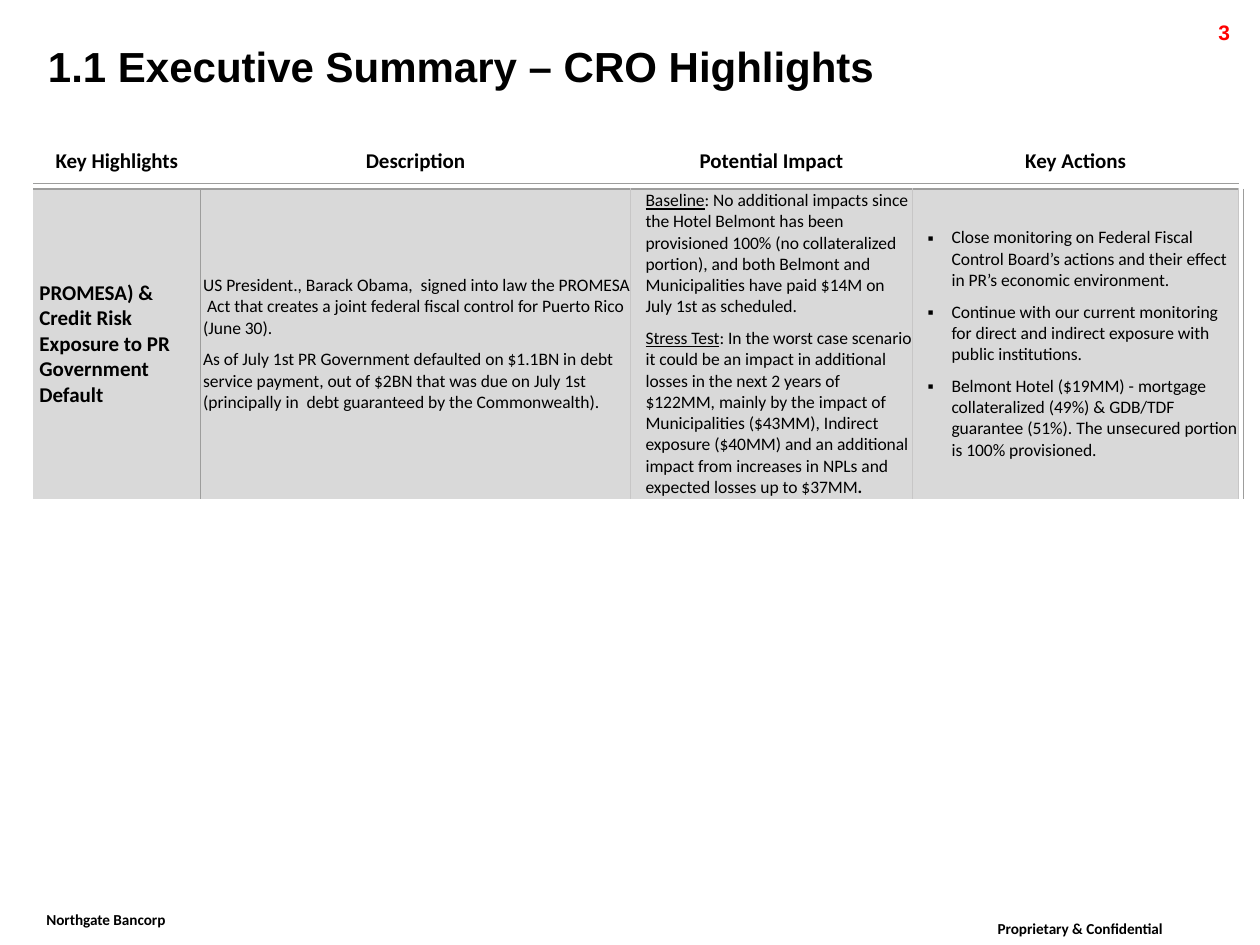
from dataclasses import dataclass

from lxml import etree
from pptx import Presentation
from pptx.dml.color import RGBColor
from pptx.enum import text as t
from pptx.oxml import ns
from pptx.util import Pt

HUES = {"ink": "000000", "red": "FF0000", "white": "FFFFFF",
        "band": "D9D9D9", "rule": "9D9D9C", "split": "C7C6C6"}
RULE, SPLIT = ("rule", 0.75), ("split", 1)
NO_STYLE = "{2D5ABB26-0587-4C30-8999-92F81FD0307C}"
WIDTHS = (95.8, 245.6, 161.2, 186.4, 2.4)
HEIGHTS = (30.2, 2.9, 175.7)


@dataclass
class Run:
    text: str
    bold: bool = False
    underline: bool = False


@dataclass
class Note:
    text: str
    box: tuple
    size: float
    face: str = "Calibri"
    hue: str = "ink"
    align: t.PP_ALIGN = t.PP_ALIGN.LEFT
    wrap: bool = True
    base: int = 0


@dataclass
class Topic:
    head: str
    paras: list
    pads: tuple
    edges: dict
    size: float = 10
    bullet: str = ""


NOTES = [
    Note("Northgate Bancorp", (19.4, 514.8, 94.3, 25.2), 15, wrap=False, base=30000),
    Note("Proprietary & Confidential", (563, 519.8, 157, 25.2), 15, base=30000),
    Note("3", (641.5, 7.9, 68.4, 17.3), 12, "Arial", "red", t.PP_ALIGN.RIGHT),
]
TITLE = Note("1.1 Executive Summary – CRO Highlights", (20.2, 19.4, 699.8, 36), 24, "Arial")

TOPICS = [
    Topic("Key Highlights",
          [[Run("PROMESA) & Credit Risk Exposure to PR Government Default", True)]],
          (3.6, 0.7, 8.6, 0.7), {"R": RULE}, size=12),
    Topic("Description",
          [[Run("US President., Barack Obama,  signed into law the PROMESA  Act that creates "
                "a joint federal fiscal control for Puerto Rico (June 30).")],
           [Run("As of July 1st PR Government defaulted on $1.1BN in debt service payment, "
                "out of $2BN that was due on July 1st (principally in  debt guaranteed by "
                "the Commonwealth).")]],
          (1.4, 0.7, 0, 0.7), {"L": RULE, "R": SPLIT}),
    Topic("Potential Impact",
          [[Run("Baseline", underline=True),
            Run(": No additional impacts since the Hotel Belmont has been provisioned 100% "
                "(no collateralized portion), and both Belmont and Municipalities have paid "
                "$14M on July 1st as scheduled.")],
           [Run("Stress Test", underline=True),
            Run(": In the worst case scenario it could be an impact in additional losses in "
                "the next 2 years of $122MM, mainly by the impact of Municipalities ($43MM), "
                "Indirect exposure ($40MM) and an additional impact from increases in NPLs "
                "and expected losses up to $37MM"),
            Run(".", True)]],
          (8.6, 0.7, 0, 0.7), {"L": SPLIT, "R": SPLIT}),
    Topic("Key Actions",
          [[Run("Close monitoring on Federal Fiscal Control Board’s actions and their effect "
                "in PR’s economic environment.")],
           [Run("Continue with our current monitoring for direct and indirect exposure with "
                "public institutions.")],
           [Run("Belmont Hotel ($19MM) - mortgage collateralized (49%) & GDB/TDF guarantee "
                "(51%). The unsecured portion is 100% provisioned.")]],
          (8.6, 0.7, 0, 0.7), {"L": SPLIT}, bullet="▪"),
]


def color(hue: str) -> RGBColor:
    return RGBColor.from_string(HUES[hue])


def style(font, hue: str = "ink", **form) -> None:
    for key, val in form.items():
        setattr(font, key, val)
    font.color.rgb = color(hue)


def fill_note(shape, note: Note) -> None:
    for key, val in zip(("left", "top", "width", "height"), note.box):
        setattr(shape, key, Pt(val))
    frame = shape.text_frame
    form = {"word_wrap": note.wrap, "auto_size": t.MSO_AUTO_SIZE.NONE,
            "vertical_anchor": t.MSO_ANCHOR.TOP}
    for key, val in form.items():
        setattr(frame, key, val)
    para = frame.paragraphs[0]
    para.alignment = note.align
    run = para.add_run()
    run.text = note.text
    style(run.font, note.hue, name=note.face, size=Pt(note.size), bold=True)
    if note.base:
        run.font._element.set("baseline", str(note.base))


def edge(cell, lines: dict) -> None:
    """Draw the given borders, keyed by side, ahead of the cell's fill."""
    props = cell._tc.get_or_add_tcPr()
    sides = [side for side in "LRTB" if side in lines]
    for spot, side in enumerate(sides):
        hue, width = lines[side]
        line = etree.Element(ns.qn(f"a:ln{side}"), w=str(Pt(width)))
        solid = etree.SubElement(line, ns.qn("a:solidFill"))
        etree.SubElement(solid, ns.qn("a:srgbClr"), val=HUES[hue])
        props.insert(spot, line)


def set_cell(cell, hue: str, pads: tuple, anchor: t.MSO_ANCHOR, lines: dict) -> None:
    cell.fill.solid()
    cell.fill.fore_color.rgb = color(hue)
    for key, val in zip(("left", "top", "right", "bottom"), pads):
        setattr(cell, f"margin_{key}", Pt(val))
    cell.vertical_anchor = anchor
    edge(cell, lines)


def add_bullet(para, mark: str) -> None:
    props = para._p.get_or_add_pPr()
    props.set("marL", str(Pt(13.7)))
    props.set("indent", str(Pt(-13.7)))
    tint = etree.SubElement(props, ns.qn("a:buClr"))
    etree.SubElement(tint, ns.qn("a:srgbClr"), val=HUES["ink"])
    etree.SubElement(props, ns.qn("a:buFont"), typeface="Arial")
    etree.SubElement(props, ns.qn("a:buChar"), char=mark)


def fill_body(frame, topic: Topic) -> None:
    for spot, runs in enumerate(topic.paras):
        para = frame.add_paragraph() if spot else frame.paragraphs[0]
        para.space_after = Pt(6)
        if topic.bullet:
            add_bullet(para, topic.bullet)
        for part in runs:
            run = para.add_run()
            run.text = part.text
            style(run.font, name="Calibri", size=Pt(topic.size),
                  bold=part.bold, underline=part.underline)


def add_grid(slide) -> None:
    box = (18.9, 74.9, sum(WIDTHS), sum(HEIGHTS))
    grid = slide.shapes.add_table(len(HEIGHTS), len(WIDTHS), *map(Pt, box)).table
    grid._tbl.tblPr.find(ns.qn("a:tableStyleId")).text = NO_STYLE
    grid.first_row = grid.horz_banding = False
    for col, width in zip(grid.columns, WIDTHS):
        col.width = Pt(width)
    for row, height in zip(grid.rows, HEIGHTS):
        row.height = Pt(height)

    mid, none = t.MSO_ANCHOR.MIDDLE, (0, 0, 0, 0)
    for col, topic in enumerate(TOPICS):
        head, gap, body = (grid.cell(row, col) for row in range(3))
        set_cell(head, "white", (0, 0, 0, 5.8), t.MSO_ANCHOR.BOTTOM, {"B": RULE})
        para = head.text_frame.paragraphs[0]
        para.alignment = t.PP_ALIGN.CENTER
        run = para.add_run()
        run.text = topic.head
        style(run.font, name="Calibri", size=Pt(12), bold=True)
        set_cell(gap, "white", none, mid, {"T": RULE})
        set_cell(body, "band", topic.pads, mid, topic.edges)
        fill_body(body.text_frame, topic)

    last = len(TOPICS)
    for row, lines in enumerate(({}, {}, {"R": RULE})):
        set_cell(grid.cell(row, last), "white", none, mid, lines)
    for cell in grid.iter_cells():
        if not cell.text:
            cell.text_frame.paragraphs[0].font.size = Pt(1)


def main() -> None:
    deck = Presentation()
    deck.slide_width, deck.slide_height = Pt(720), Pt(540)
    slide = deck.slides.add_slide(deck.slide_layouts[5])
    for note in NOTES:
        fill_note(slide.shapes.add_textbox(0, 0, 0, 0), note)
    fill_note(slide.shapes.title, TITLE)
    add_grid(slide)
    deck.save("out.pptx")


if __name__ == "__main__":
    main()
